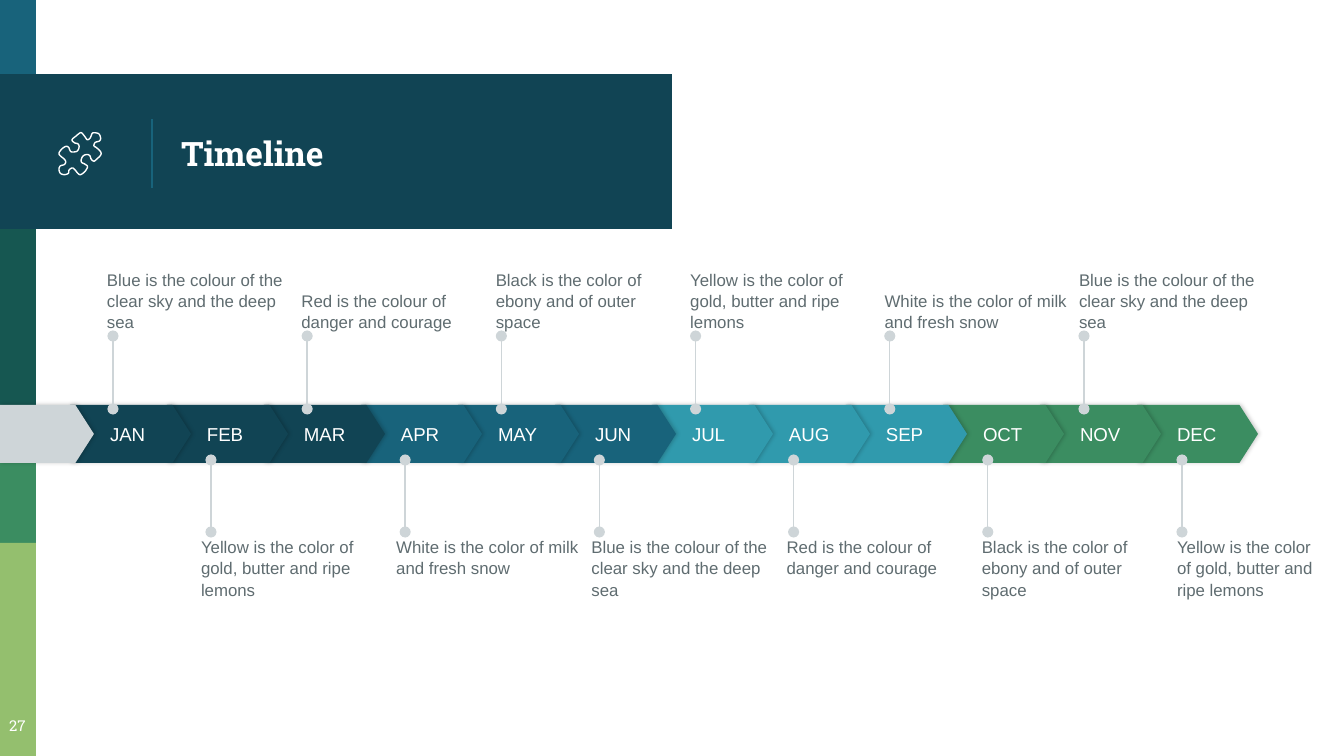
from lxml import etree
from pptx import Presentation
from pptx.dml.color import RGBColor
from pptx.enum.shapes import MSO_CONNECTOR, MSO_SHAPE
from pptx.enum.text import MSO_ANCHOR, PP_ALIGN
from pptx.oxml.ns import qn
from pptx.util import Pt

EMU_PER_PX = 914400 / 134.4
RECTANGLE, PENTAGON = MSO_SHAPE.RECTANGLE, MSO_SHAPE.PENTAGON
STRAIGHT = MSO_CONNECTOR.STRAIGHT
TOP, MIDDLE, BOTTOM = MSO_ANCHOR.TOP, MSO_ANCHOR.MIDDLE, MSO_ANCHOR.BOTTOM
LEFT, CENTER = PP_ALIGN.LEFT, PP_ALIGN.CENTER
BODY_FONT, HEAD_FONT = "Arial", "Roboto Slab"

COLORS = {
    "navy": "114454", "blue": "18637B", "teal": "309AAD", "pine": "165751",
    "green": "3B8D61", "lime": "94BF6E", "gray": "CED5D8", "text": "5F6C70",
    "white": "FFFFFF", "black": "000000",
}
STRIPES = [(0, 78, "blue"), (228, 226, "pine"), (454, 89, "green"), (543, 213, "lime")]
MONTHS = ["JAN", "FEB", "MAR", "APR", "MAY", "JUN",
          "JUL", "AUG", "SEP", "OCT", "NOV", "DEC"]
QUARTER_COLORS = ["navy", "blue", "teal", "green"]

BLUE = "Blue is the colour of the clear sky and the deep sea"
RED = "Red is the colour of danger and courage"
BLACK = "Black is the color of ebony and of outer space"
YELLOW = "Yellow is the color of gold, butter and ripe lemons"
WHITE = "White is the color of milk and fresh snow"
NOTES_ABOVE = [BLUE, RED, BLACK, YELLOW, WHITE, BLUE]
NOTES_BELOW = [YELLOW, WHITE, BLUE, RED, BLACK, YELLOW]

PUZZLE_UNIT = 0.672
PUZZLE_POINTS = [
    (54, 14), (60, 12), (62, 8), (60, 2), (56, 0), (50, 0), (48, 4), (46, 8),
    (42, 10), (39, 6), (34, 0), (31, 0), (26, 4), (20, 9), (20, 12), (24, 15),
    (28, 16), (30, 20), (28, 26), (24, 28), (18, 28), (16, 25), (14, 21), (10, 20),
    (4, 24), (0, 30), (2, 34), (8, 39), (10, 43), (8, 47), (2, 49), (0, 54),
    (2, 60), (8, 62), (14, 60), (15, 55), (20, 52), (24, 55), (28, 60), (32, 62),
    (38, 58), (42, 52), (42, 49), (38, 46), (34, 44), (33, 40), (36, 34), (42, 32),
    (46, 34), (48, 39), (52, 42), (56, 39), (62, 33), (62, 28), (56, 22), (52, 19),
]


def px(*lengths):
    return [round(length * EMU_PER_PX) for length in lengths]


def color(name):
    return RGBColor.from_string(COLORS[name])


def spread(first, last, count):
    """Return evenly spaced positions from first to last."""
    return [first + (last - first) * i / (count - 1) for i in range(count)]


def add_text(box, text, size, fill, font=BODY_FONT, bold=False, anchor=TOP,
             align=LEFT, insets=(0, 0, 0, 0), spacing=1.0):
    frame = box.text_frame
    frame.word_wrap = True
    frame.vertical_anchor = anchor
    (frame.margin_left, frame.margin_top,
     frame.margin_right, frame.margin_bottom) = px(*insets)
    para = frame.paragraphs[0]
    para.alignment = align
    para.line_spacing = spacing
    span = para.add_run()
    span.text = text
    span.font.name = font
    span.font.size = Pt(size)
    span.font.bold = bold
    span.font.color.rgb = color(fill)


def add_block(page, kind, left, top, width, height, fill):
    block = page.shapes.add_shape(kind, *px(left, top, width, height))
    block.shadow.inherit = False
    block.fill.solid()
    block.fill.fore_color.rgb = color(fill)
    block.line.fill.background()
    return block


def add_arrow_block(page, left, width, fill):
    """Add a pentagon of the month band, with a soft shadow."""
    block = add_block(page, PENTAGON, left, 405, width, 58, fill)
    block.adjustments[0] = 0.32
    effects = block.element.spPr.find(qn("a:effectLst"))
    shadow = etree.SubElement(effects, qn("a:outerShdw"), blurRad=str(Pt(2.2)),
                              dist=str(Pt(0.8)), dir="0", rotWithShape="0")
    tone = etree.SubElement(shadow, qn("a:srgbClr"), val=COLORS["black"])
    etree.SubElement(tone, qn("a:alpha"), val="20000")
    return block


def add_line(page, x, start, end, fill, dots=False):
    line = page.shapes.add_connector(STRAIGHT, *px(x, start, x, end))
    line.line.color.rgb = color(fill)
    line.line.width = Pt(0.75)
    if dots:
        for tag in ("a:headEnd", "a:tailEnd"):
            etree.SubElement(line.line._get_or_add_ln(), qn(tag), type="oval")
    etree.SubElement(line._element.spPr, qn("a:effectLst"))


def add_note(page, left, top, width, text, anchor):
    box = page.shapes.add_textbox(*px(left, top, width, 78))
    add_text(box, text, 9, "text", anchor=anchor, spacing=1.05)


def smooth_outline(points, steps=4):
    """Return a closed Catmull-Rom curve through the points."""
    curve = []
    for i in range(len(points)):
        corners = [points[(i + k) % len(points)] for k in (-1, 0, 1, 2)]
        for t in (step / steps for step in range(steps)):
            curve.append(tuple(
                b + 0.5 * t * (c - a + t * (2 * a - 5 * b + 4 * c - d
                                            + t * (3 * (b - c) + d - a)))
                for a, b, c, d in zip(*corners)))
    return curve


def add_puzzle_icon(page, left, top):
    outline = [px(left + x * PUZZLE_UNIT, top + y * PUZZLE_UNIT)
               for x, y in smooth_outline(PUZZLE_POINTS)]
    builder = page.shapes.build_freeform(*outline[0], scale=1.0)
    builder.add_line_segments(outline[1:], close=True)
    icon = builder.convert_to_shape()
    icon.shadow.inherit = False
    icon.fill.background()
    icon.line.color.rgb = color("white")
    icon.line.width = Pt(0.75)


def add_header(page):
    for top, height, fill in STRIPES:
        add_block(page, RECTANGLE, 0, top, 36, height, fill)
    add_block(page, RECTANGLE, 0, 74, 672, 155, "navy")
    add_line(page, 152, 119, 188, "blue")
    title = page.shapes.title
    title.left, title.top, title.width, title.height = px(168, 78, 472, 151)
    add_text(title, "Timeline", 18, "white", HEAD_FONT, True, MIDDLE,
             insets=(13, 13, 13, 13))
    page.shapes.element.append(title.element)  # bring in front of the band
    number = page.shapes.add_textbox(*px(-8, 708, 51, 48))
    add_text(number, "27", 8, "white", HEAD_FONT, align=CENTER,
             insets=(13, 13, 13, 13))
    add_puzzle_icon(page, 59, 133)


def add_months(page):
    lefts = spread(70, 1137, len(MONTHS))
    for i in reversed(range(len(MONTHS))):
        block = add_arrow_block(page, lefts[i], 121, QUARTER_COLORS[i // 3])
        add_text(block, MONTHS[i], 10, "white", anchor=MIDDLE, insets=(40, 0, 0, 0))
    add_arrow_block(page, 0, 94, "gray")


def add_notes(page):
    count = len(NOTES_ABOVE)
    for pin, left, text in zip(spread(113, 1084, count), spread(107, 1079, count),
                               NOTES_ABOVE):
        add_line(page, pin, 409, 336, "gray", dots=True)
        add_note(page, left, 254, 184, text, BOTTOM)
    for pin, left, text in zip(spread(211, 1182, count), spread(201, 1177, count),
                               NOTES_BELOW):
        add_line(page, pin, 532, 460, "gray", dots=True)
        add_note(page, left, 536, min(184, 1329 - left), text, TOP)


def main():
    deck = Presentation()
    deck.slide_width, deck.slide_height = px(1344, 756)
    page = deck.slides.add_slide(deck.slide_layouts[5])
    add_header(page)
    add_months(page)
    add_notes(page)
    deck.save("out.pptx")


if __name__ == "__main__":
    main()
